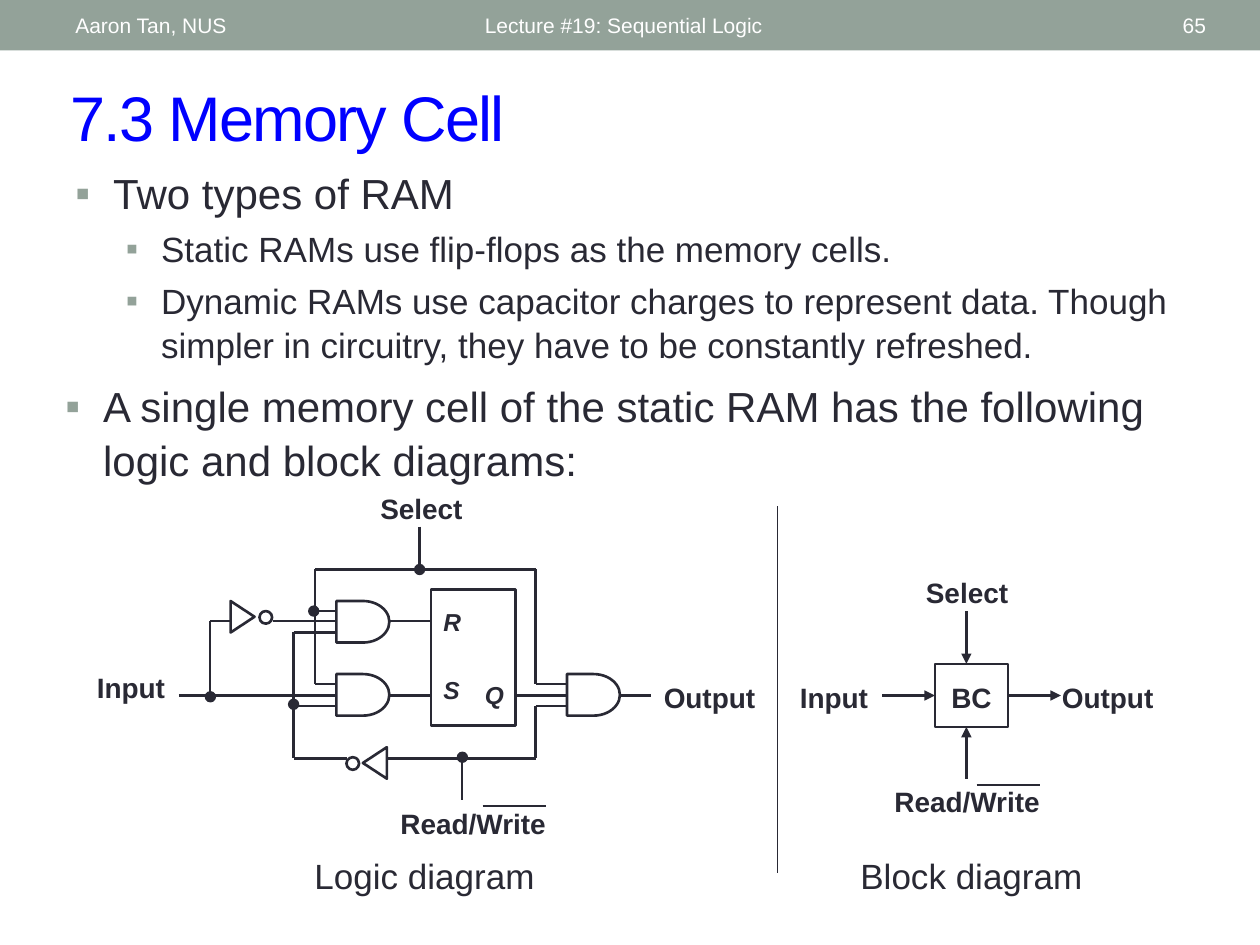
from typing import NamedTuple

from lxml.etree import SubElement
from pptx import Presentation
from pptx.dml.color import RGBColor
from pptx.enum.shapes import MSO_CONNECTOR, MSO_SHAPE
from pptx.enum.text import MSO_ANCHOR, PP_ALIGN
from pptx.oxml.ns import qn
from pptx.util import Inches, Pt

FONT = "Arial"
COLORS = {"ink": "292934", "band": "93A299", "title": "0000FF", "white": "FFFFFF"}


class Label(NamedTuple):
    text: str
    left: float
    top: float
    width: float
    height: float = 0.37
    size: float = 16
    bold: bool = True
    italic: bool = False
    color: str = "ink"
    align: PP_ALIGN = PP_ALIGN.LEFT
    anchor: MSO_ANCHOR = MSO_ANCHOR.TOP
    inset: tuple = (0.1, 0.05)


class Wire(NamedTuple):
    x1: float
    y1: float
    x2: float
    y2: float
    width: float = 1.25
    arrow: bool = False


class Symbol(NamedTuple):
    kind: MSO_SHAPE
    left: float
    top: float
    width: float
    height: float
    rotation: float = 0
    line: float = 1.5
    fill: str = ""


class Bullet(NamedTuple):
    text: str
    level: int = 0


def rgb(name: str) -> RGBColor:
    return RGBColor.from_string(COLORS[name])


def format_font(font, size: float, color: str, bold=False, italic=False) -> None:
    font.name, font.size, font.bold, font.italic = FONT, Pt(size), bold, italic
    font.color.rgb = rgb(color)


def add_frame(slide, left: float, top: float, width: float, height: float):
    box = slide.shapes.add_textbox(Inches(left), Inches(top), Inches(width), Inches(height))
    box.text_frame.word_wrap = True
    return box.text_frame


def add_label(slide, label: Label) -> None:
    frame = add_frame(slide, label.left, label.top, label.width, label.height)
    frame.vertical_anchor = label.anchor
    frame.margin_left = frame.margin_right = Inches(label.inset[0])
    frame.margin_top = frame.margin_bottom = Inches(label.inset[1])
    paragraph = frame.paragraphs[0]
    paragraph.text, paragraph.alignment = label.text, label.align
    format_font(paragraph.font, label.size, label.color, label.bold, label.italic)


def add_wire(slide, wire: Wire) -> None:
    connector = slide.shapes.add_connector(
        MSO_CONNECTOR.STRAIGHT, *(Inches(value) for value in wire[:4]))
    connector.line.color.rgb = rgb("ink")
    connector.line.width = Pt(wire.width)
    if wire.arrow:
        SubElement(connector.line._get_or_add_ln(), qn("a:tailEnd"), type="triangle")
    SubElement(connector._element.spPr, qn("a:effectLst"))


def add_symbol(slide, symbol: Symbol) -> None:
    shape = slide.shapes.add_shape(symbol.kind, *(Inches(value) for value in symbol[1:5]))
    shape.shadow.inherit = False
    shape.rotation = symbol.rotation
    if symbol.fill:
        shape.fill.solid()
        shape.fill.fore_color.rgb = rgb(symbol.fill)
    else:
        shape.fill.background()
    if symbol.line:
        shape.line.color.rgb = rgb("ink")
        shape.line.width = Pt(symbol.line)
    else:
        shape.line.fill.background()


def add_bullets(slide, left: float, top: float, height: float, bullets: list[Bullet]) -> None:
    frame = add_frame(slide, left, top, 9.08, height)
    for index, bullet in enumerate(bullets):
        paragraph = frame.add_paragraph() if index else frame.paragraphs[0]
        paragraph.text, paragraph.level = bullet.text, bullet.level
        size, margin, hang = ((24, 0.3, 0.3), (20, 0.68, 0.28))[bullet.level]
        format_font(paragraph.font, size, "ink")
        paragraph.line_spacing = 1.06
        paragraph.space_before = Pt(size * 0.2)
        properties = paragraph._p.get_or_add_pPr()
        properties.set("marL", str(Inches(margin)))
        properties.set("indent", str(-Inches(hang)))
        # Bullet elements go ahead of the default run properties
        color = properties.makeelement(qn("a:buClr"), {})
        SubElement(color, qn("a:srgbClr"), val=COLORS["band"])
        font = properties.makeelement(qn("a:buFont"), {"typeface": FONT})
        mark = properties.makeelement(qn("a:buChar"), {"char": "▪"})
        for element in (color, font, mark):
            properties.find(qn("a:defRPr")).addprevious(element)


def add_header(slide) -> None:
    add_symbol(slide, Symbol(MSO_SHAPE.RECTANGLE, 0, 0, 10, 0.4, line=0, fill="band"))
    for text, left, width, align in (
        ("Aaron Tan, NUS", 0.5, 3.17, PP_ALIGN.LEFT),
        ("Lecture #19: Sequential Logic", 3.75, 4.5, PP_ALIGN.LEFT),
        ("65", 8.72, 0.95, PP_ALIGN.RIGHT),
    ):
        add_label(slide, Label(text, left, 0.02, width, 0.36, 12, False, color="white",
                               align=align, anchor=MSO_ANCHOR.MIDDLE))


def add_title(slide) -> None:
    title = slide.shapes.title
    title.left, title.top, title.width, title.height = map(Inches, (0.46, 0.57, 9.21, 0.7))
    title.text_frame.vertical_anchor = MSO_ANCHOR.MIDDLE
    paragraph = title.text_frame.paragraphs[0]
    paragraph.text, paragraph.alignment = "7.3 Memory Cell", PP_ALIGN.LEFT
    format_font(paragraph.font, 36, "title")
    paragraph.runs[0].font._element.set("spc", "-100")


def add_captions(slide, left: float, top: float, caption: str, caption_left: float) -> None:
    """Read/Write label with its overbar, and the caption of one diagram."""
    add_wire(slide, Wire(left + 0.75, top + 0.05, left + 1.25, top + 0.05))
    add_label(slide, Label("Read/Write", left, top, 1.42))
    add_label(slide, Label(caption, caption_left, 6.77, 2.08, 0.35, 20, False,
                           align=PP_ALIGN.CENTER, inset=(0.01, 0.01)))


def add_logic_diagram(slide) -> None:
    # Flip-flop, AND gates and inverters
    add_symbol(slide, Symbol(MSO_SHAPE.RECTANGLE, 3.42, 4.68, 0.67, 1.08))
    for left, top in ((2.67, 4.77), (2.67, 5.35), (4.5, 5.35)):
        add_symbol(slide, Symbol(MSO_SHAPE.FLOWCHART_DELAY, left, top, 0.42, 0.33))
    for left, top, rotation, bubble_left in ((1.8, 4.8, 90, 2.06), (2.85, 5.96, 270, 2.75)):
        add_symbol(slide, Symbol(MSO_SHAPE.FLOWCHART_EXTRACT, left, top, 0.25, 0.19, rotation))
        add_symbol(slide, Symbol(MSO_SHAPE.OVAL, bubble_left, top + 0.05, 0.1, 0.1))
    # Wires
    for ends in (
        # Select
        (3.33, 4.18, 3.33, 4.52), (2.5, 4.52, 4.25, 4.52), (2.5, 4.52, 2.5, 5.43),
        (4.25, 4.52, 4.25, 5.43), (2.5, 4.85, 2.67, 4.85), (2.5, 5.43, 2.67, 5.43),
        (4.25, 5.43, 4.5, 5.43),
        # Input
        (1.42, 5.52, 2.67, 5.52), (1.67, 4.93, 1.67, 5.52), (1.67, 4.93, 1.83, 4.93),
        (2.17, 4.93, 2.67, 4.93),
        # Read/Write
        (3.67, 6.02, 3.67, 6.35), (3.08, 6.02, 4.25, 6.02), (4.25, 5.6, 4.25, 6.02),
        (4.25, 5.6, 4.5, 5.6), (2.33, 6.02, 2.75, 6.02), (2.33, 5.02, 2.33, 6.02),
        (2.33, 5.02, 2.67, 5.02), (2.33, 5.6, 2.67, 5.6),
        # Gate outputs
        (3.08, 4.93, 3.42, 4.93), (3.08, 5.52, 3.42, 5.52), (4.08, 5.52, 4.5, 5.52),
        (4.92, 5.52, 5.17, 5.52),
    ):
        add_wire(slide, Wire(*ends))
    # Junctions
    for x, y in ((2.49, 4.85), (2.33, 5.59), (3.33, 4.52), (3.67, 6.01), (1.67, 5.53)):
        add_symbol(slide, Symbol(MSO_SHAPE.OVAL, x - 0.04, y - 0.04, 0.08, 0.08,
                                 line=0.75, fill="ink"))
    # Labels
    for text, left, top in (("R", 3.42, 4.77), ("S", 3.42, 5.31), ("Q", 3.75, 5.35)):
        add_label(slide, Label(text, left, top, 0.34, 0.33, 14, italic=True))
    for text, left, top, width in (("Input", 0.67, 5.27, 0.83), ("Select", 2.92, 3.85, 0.92),
                                   ("Output", 5.17, 5.35, 1)):
        add_label(slide, Label(text, left, top, width))
    add_captions(slide, 3.08, 6.35, "Logic diagram", 2.33)


def add_block_diagram(slide) -> None:
    add_symbol(slide, Symbol(MSO_SHAPE.RECTANGLE, 7.42, 5.27, 0.58, 0.5))
    add_label(slide, Label("BC", 7.42, 5.35, 0.58, align=PP_ALIGN.CENTER))
    for ends in ((7.67, 4.85, 7.67, 5.27), (7.67, 6.18, 7.67, 5.77),
                 (7, 5.52, 7.42, 5.52), (8, 5.52, 8.42, 5.52)):
        add_wire(slide, Wire(*ends, width=1.5, arrow=True))
    for text, left, top, width in (("Input", 6.25, 5.35, 0.83), ("Select", 7.25, 4.52, 0.92),
                                   ("Output", 8.33, 5.35, 1)):
        add_label(slide, Label(text, left, top, width))
    add_captions(slide, 7, 6.18, "Block diagram", 6.67)


def main() -> None:
    presentation = Presentation()
    presentation.slide_width, presentation.slide_height = Inches(10), Inches(7.5)
    slide = presentation.slides.add_slide(presentation.slide_layouts[5])
    add_header(slide)
    add_title(slide)
    add_bullets(slide, 0.5, 1.26, 1.75, [
        Bullet("Two types of RAM"),
        Bullet("Static RAMs use flip-flops as the memory cells.", 1),
        Bullet("Dynamic RAMs use capacitor charges to represent data. Though simpler in "
               "circuitry, they have to be constantly refreshed.", 1),
    ])
    add_bullets(slide, 0.42, 2.95, 1.08, [
        Bullet("A single memory cell of the static RAM has the following logic and block "
               "diagrams:"),
    ])
    add_logic_diagram(slide)
    add_wire(slide, Wire(6.17, 4.02, 6.17, 6.93, 0.75))
    add_block_diagram(slide)
    presentation.save("out.pptx")


if __name__ == "__main__":
    main()
